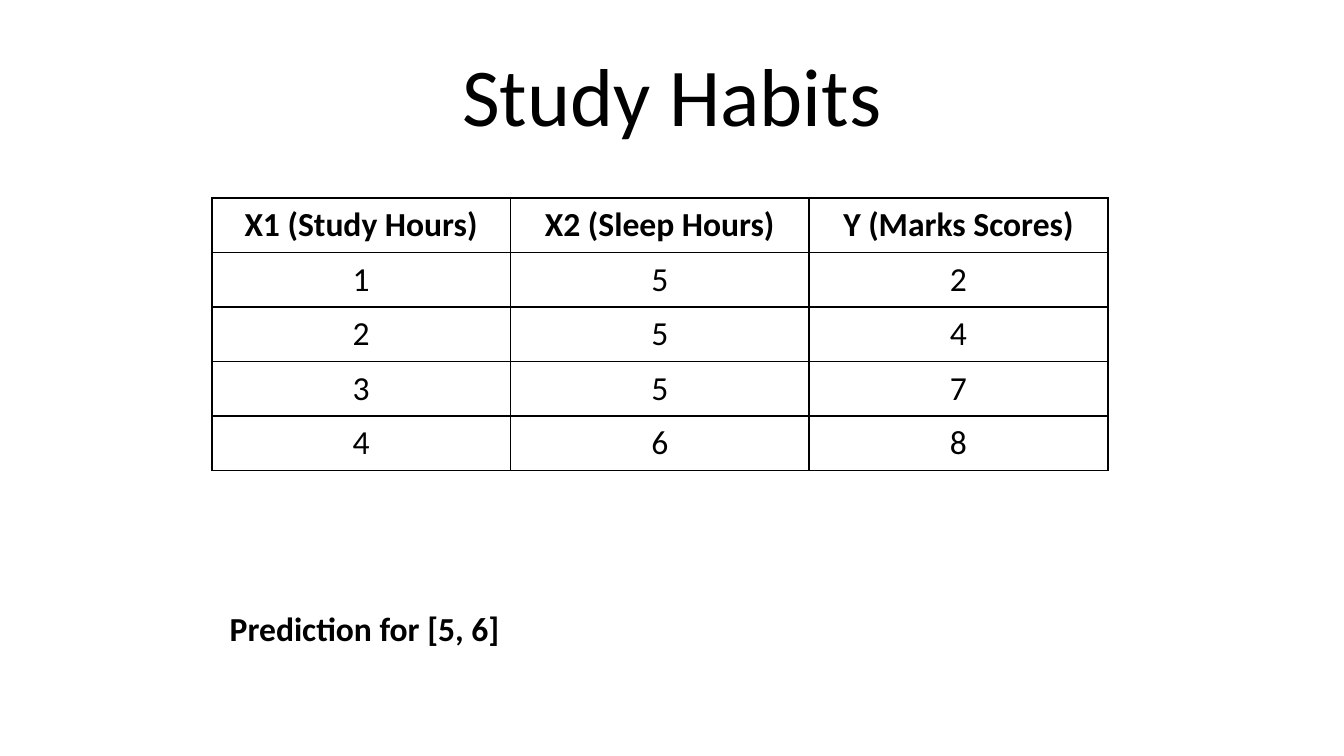
"""Build the Study Habits slide with its table of hours and marks."""
from lxml.etree import SubElement
from pptx import Presentation
from pptx.dml.color import RGBColor
from pptx.enum.text import MSO_ANCHOR, PP_ALIGN
from pptx.oxml.ns import qn
from pptx.util import Pt

HEADING = "Study Habits"
COLUMNS = ("X1 (Study Hours)", "X2 (Sleep Hours)", "Y (Marks Scores)")
OBSERVATIONS = [(1, 5, 2), (2, 5, 4), (3, 5, 7), (4, 6, 8)]
PREDICTION = "Prediction for [5, 6]"

BLACK = RGBColor(0, 0, 0)
WHITE = RGBColor(255, 255, 255)
FONT = "Calibri"
COLUMN_WIDTH, ROW_HEIGHT = Pt(160), Pt(29.2)


def write(frame, text, size=18, bold=False, align=PP_ALIGN.LEFT):
    paragraph = frame.paragraphs[0]
    paragraph.alignment = align
    run = paragraph.add_run()
    run.text = text
    run.font.name, run.font.size, run.font.bold = FONT, Pt(size), bold
    run.font.color.rgb = BLACK


def outline(cell):
    properties = cell._tc.get_or_add_tcPr()
    for position, side in enumerate(("lnL", "lnR", "lnT", "lnB")):
        line = properties.makeelement(qn(f"a:{side}"), {"w": str(Pt(1))})
        color = SubElement(SubElement(line, qn("a:solidFill")), qn("a:srgbClr"))
        color.set("val", str(BLACK))
        properties.insert(position, line)


def add_observations(slide):
    rows = [COLUMNS, *OBSERVATIONS]
    table = slide.shapes.add_table(
        len(rows), len(COLUMNS), Pt(113.5), Pt(106),
        COLUMN_WIDTH * len(COLUMNS), ROW_HEIGHT * len(rows)).table
    table.horz_banding = False
    for column in table.columns:
        column.width = COLUMN_WIDTH
    for row_index, values in enumerate(rows):
        table.rows[row_index].height = ROW_HEIGHT
        for column_index, value in enumerate(values):
            cell = table.cell(row_index, column_index)
            cell.fill.solid()
            cell.fill.fore_color.rgb = WHITE
            outline(cell)
            write(cell.text_frame, str(value), bold=row_index == 0,
                  align=PP_ALIGN.CENTER)


def main():
    deck = Presentation()
    deck.slide_width, deck.slide_height = Pt(720), Pt(405)
    slide = deck.slides.add_slide(deck.slide_layouts[5])

    heading = slide.shapes.title
    heading.left, heading.top, heading.width, heading.height = (
        Pt(36), Pt(16.5), Pt(648), Pt(67.5))
    heading.text_frame.vertical_anchor = MSO_ANCHOR.MIDDLE
    write(heading.text_frame, HEADING, size=44, align=PP_ALIGN.CENTER)

    prediction = slide.shapes.add_textbox(Pt(116), Pt(322), Pt(360), Pt(29))
    prediction.text_frame.word_wrap = True
    write(prediction.text_frame, PREDICTION, bold=True)

    add_observations(slide)
    deck.save("out.pptx")


if __name__ == "__main__":
    main()
